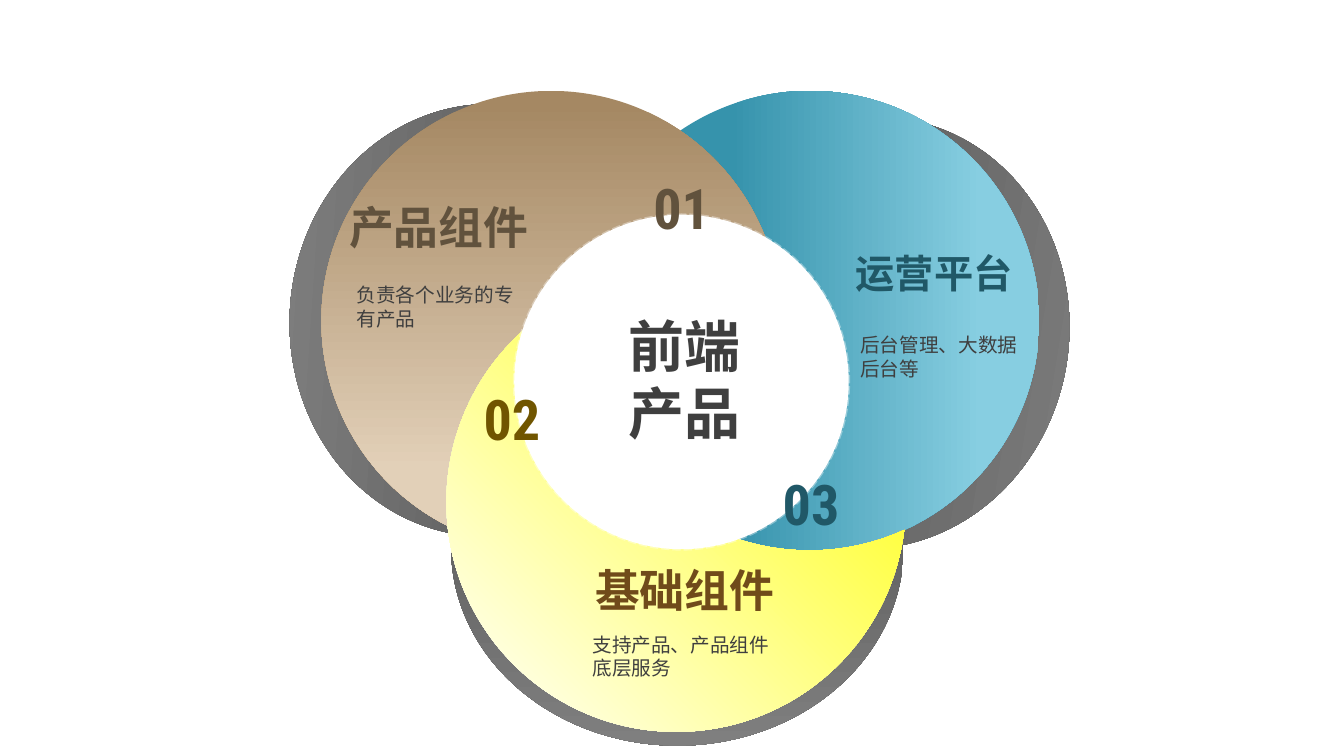
"""Build a slide with three interlocking petals around a central product title."""
from math import acos, atan2, ceil, cos, dist, floor, pi, sin, tan

from lxml import etree
from pptx import Presentation
from pptx.dml.color import RGBColor
from pptx.enum import dml, shapes, text
from pptx.oxml.ns import qn
from pptx.util import Cm, Pt

THEME = {
    "heading_font": "Roboto Condensed", "body_font": "Calibri",
    "core_size": 40, "number_size": 40, "detail_size": 14,
    "dark": "3F3F3F", "white": "FFFFFF",
    "shadow": ((0, "494949"), (100, "7F7F7F")),
    "blue": ((14, "3693AC"), (84, "87CEE1")),
    "brown": ((3, "A58863"), (87, "E2D0B8")),
    "yellow": ((0, "FFFFFF"), (100, "FFFF00")),
    "blue_text": "205867", "brown_text": "61523D",
    "ochre_text": "705500", "yellow_text": "704B1A",
}
SLIDE_SIZE = (33.87, 19.05)
RADIUS = 5.79
QUARTER = pi / 2
DOWN, RIGHT, UP_RIGHT = 270, 0, 45

SHADOWS = [
    ((6.83, 3.09, 10.9, 9.96), 93.8),
    ((16.51, 3.41, 10.9, 9.96), 279.2),
    ((11.37, 8.83, 11.4, 9.96), 0),
]
PETALS = [
    {"center": (20.4, 8.08), "fill": "blue", "angle": RIGHT},
    {"center": (13.89, 8.08), "fill": "brown", "angle": DOWN},
    {"center": (17.04, 12.65), "fill": "yellow", "angle": UP_RIGHT},
]
DISC = (12.96, 5.41, 8.43, 8.43)
CORE = ("前端产品", (15.15, 7.72, 4.19, 3.68))
NUMBER_SIZE = (2.62, 1.96)
NUMBERS = [
    ("01", (15.87, 4.24), "brown_text"),
    ("02", (11.59, 9.57), "ochre_text"),
    ("03", (19.13, 11.71), "blue_text"),
]
NAMES = [
    ("产品组件", (8.34, 5.18, 5.44, 1.35), 32, "brown_text"),
    ("运营平台", (21.14, 6.38, 4.8, 1.22), 28, "blue_text"),
    ("基础组件", (13.78, 14.32, 6.96, 1.35), 32, "yellow_text"),
]
DETAILS = [
    ("负责各个业务的专有产品", (8.74, 7.01, 4.47, 1.45)),
    ("后台管理、大数据后台等", (21.43, 8.27, 4.5, 1.45)),
    ("支持产品、产品组件底层服务", (14.68, 15.82, 5.26, 1.45)),
]


def set_all(target, values):
    for name, value in values.items():
        setattr(target, name, value)


def lengths(frame):
    return [Cm(value) for value in frame]


def paint_gradient(shape, stops, angle):
    shape.shadow.inherit = False
    shape.line.fill.background()
    shape.fill.gradient()
    shape.fill.gradient_angle = angle
    for stop, (percent, color) in zip(shape.fill.gradient_stops, stops):
        stop.position = percent / 100
        stop.color.rgb = RGBColor.from_string(color)


def add_ellipse(page, frame):
    return page.shapes.add_shape(shapes.MSO_SHAPE.OVAL, *lengths(frame))


def arc_point(center, angle, pull=0):
    """Return the point at an angle, moved along the tangent by a share of the radius."""
    return lengths((center[0] + RADIUS * (cos(angle) - pull * sin(angle)),
                    center[1] + RADIUS * (sin(angle) + pull * cos(angle))))


def arc_curves(center, start, end):
    """Split an arc at its axis extremes into curves of two handles and an end."""
    low, high = sorted((start, end))
    quarters = range(ceil(low / QUARTER), floor(high / QUARTER) + 1)
    angles = sorted([start, end] + [step * QUARTER for step in quarters],
                    reverse=start > end)
    curves = []
    for first, last in zip(angles, angles[1:]):
        pull = 4 / 3 * tan((last - first) / 4)
        curves.append((arc_point(center, first, pull), arc_point(center, last, -pull),
                       arc_point(center, last)))
    return curves


def add_petal(page, center, cutter, stops, angle):
    toward = atan2(cutter[1] - center[1], cutter[0] - center[0])
    half = acos(dist(center, cutter) / (2 * RADIUS))
    curves = arc_curves(center, toward + half, toward + 2 * pi - half)
    curves += arc_curves(cutter, toward + pi + half, toward + pi - half)
    builder = page.shapes.build_freeform(*arc_point(center, toward + half))
    builder.add_line_segments([end for _, _, end in curves], close=True)
    petal = builder.convert_to_shape()
    for segment, handles in zip(list(petal.element.iter(qn("a:lnTo"))), curves):
        segment.tag = qn("a:cubicBezTo")
        for place, (x, y) in enumerate(handles[:2]):
            handle = etree.SubElement(segment, qn("a:pt"),
                                      x=str(x - petal.left), y=str(y - petal.top))
            segment.insert(place, handle)
    paint_gradient(petal, stops, angle)


def add_disc(page):
    disc = add_ellipse(page, DISC)
    white = RGBColor.from_string(THEME["white"])
    disc.shadow.inherit = False
    disc.fill.solid()
    disc.fill.fore_color.rgb = white
    disc.line.color.rgb = white
    set_all(disc.line, {"width": Pt(2), "dash_style": dml.MSO_LINE.SQUARE_DOT})
    color = disc.element.spPr.find(qn("a:ln")).find(".//" + qn("a:srgbClr"))
    etree.SubElement(color, qn("a:alpha"), val="37000")


def write(box, words, size, color, font="heading_font", bold=True,
          align=text.PP_ALIGN.CENTER, spacing=None):
    set_all(box.text_frame, {
        "word_wrap": True, "vertical_anchor": text.MSO_ANCHOR.TOP,
        "auto_size": text.MSO_AUTO_SIZE.SHAPE_TO_FIT_TEXT})
    para = box.text_frame.paragraphs[0]
    set_all(para, {"alignment": align, "line_spacing": spacing})
    span = para.add_run()
    span.text = words
    set_all(span.font, {"name": THEME[font], "size": Pt(size), "bold": bold})
    span.font.color.rgb = RGBColor.from_string(THEME[color])


def add_text(page, words, frame, size, color, **style):
    write(page.shapes.add_textbox(*lengths(frame)), words, size, color, **style)


def add_core(page):
    words, frame = CORE
    title = page.shapes.title
    set_all(title, dict(zip(("left", "top", "width", "height"), lengths(frame))))
    write(title, words, THEME["core_size"], "dark")
    title.element.getparent().append(title.element)


def main():
    deck = Presentation()
    deck.slide_width, deck.slide_height = lengths(SLIDE_SIZE)
    page = deck.slides.add_slide(deck.slide_layouts.get_by_name("Title Only"))
    for frame, rotation in SHADOWS:
        shadow = add_ellipse(page, frame)
        shadow.rotation = rotation
        paint_gradient(shadow, THEME["shadow"], DOWN)
    for index, petal in enumerate(PETALS):
        cutter = PETALS[(index + 1) % len(PETALS)]["center"]
        add_petal(page, petal["center"], cutter, THEME[petal["fill"]], petal["angle"])
    add_disc(page)
    add_core(page)
    for words, corner, color in NUMBERS:
        add_text(page, words, corner + NUMBER_SIZE, THEME["number_size"], color)
    for words, frame, size, color in NAMES:
        add_text(page, words, frame, size, color, spacing=0.8)
    for words, frame in DETAILS:
        add_text(page, words, frame, THEME["detail_size"], "dark", font="body_font",
                 bold=False, align=text.PP_ALIGN.LEFT)
    deck.save("out.pptx")


if __name__ == "__main__":
    main()
